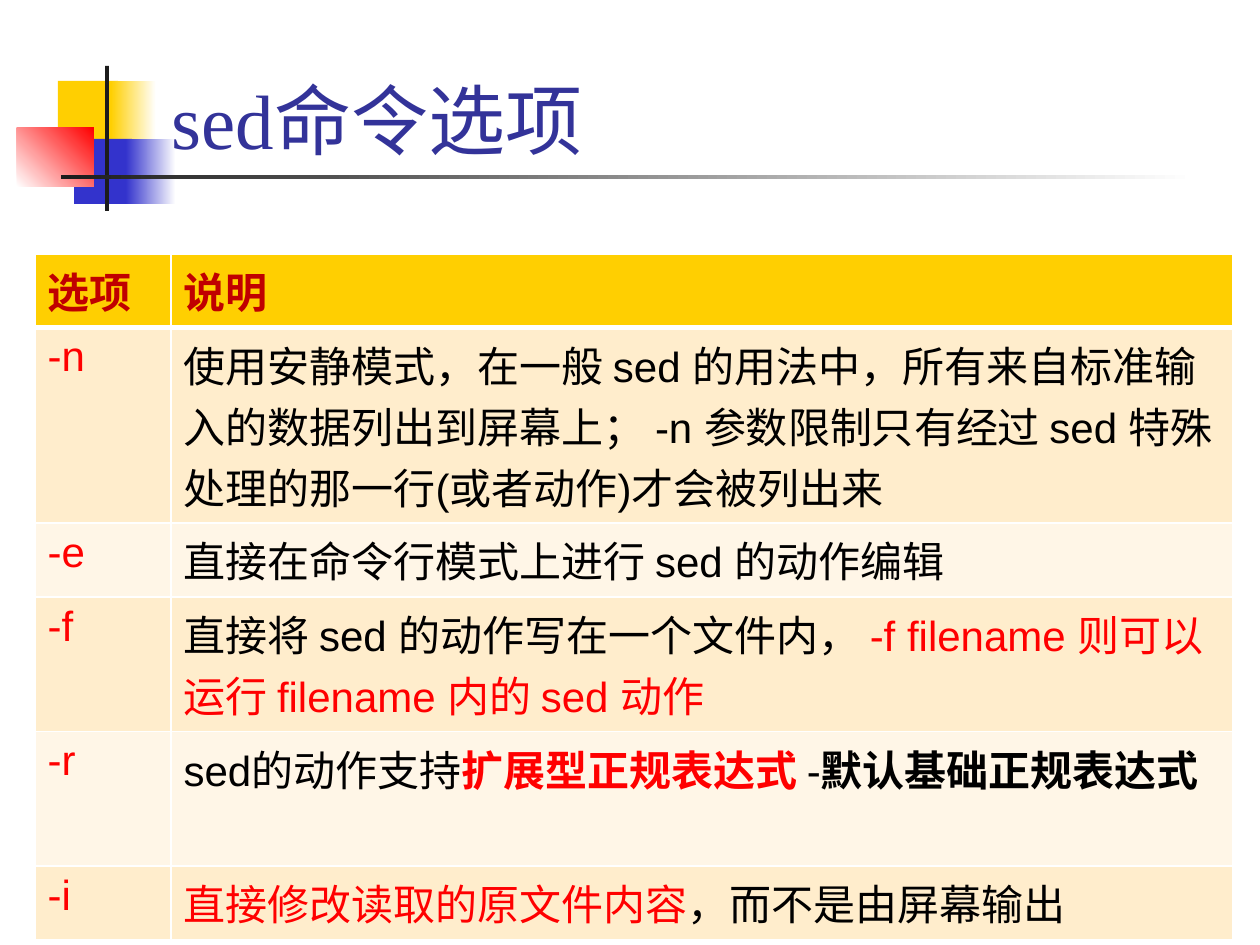
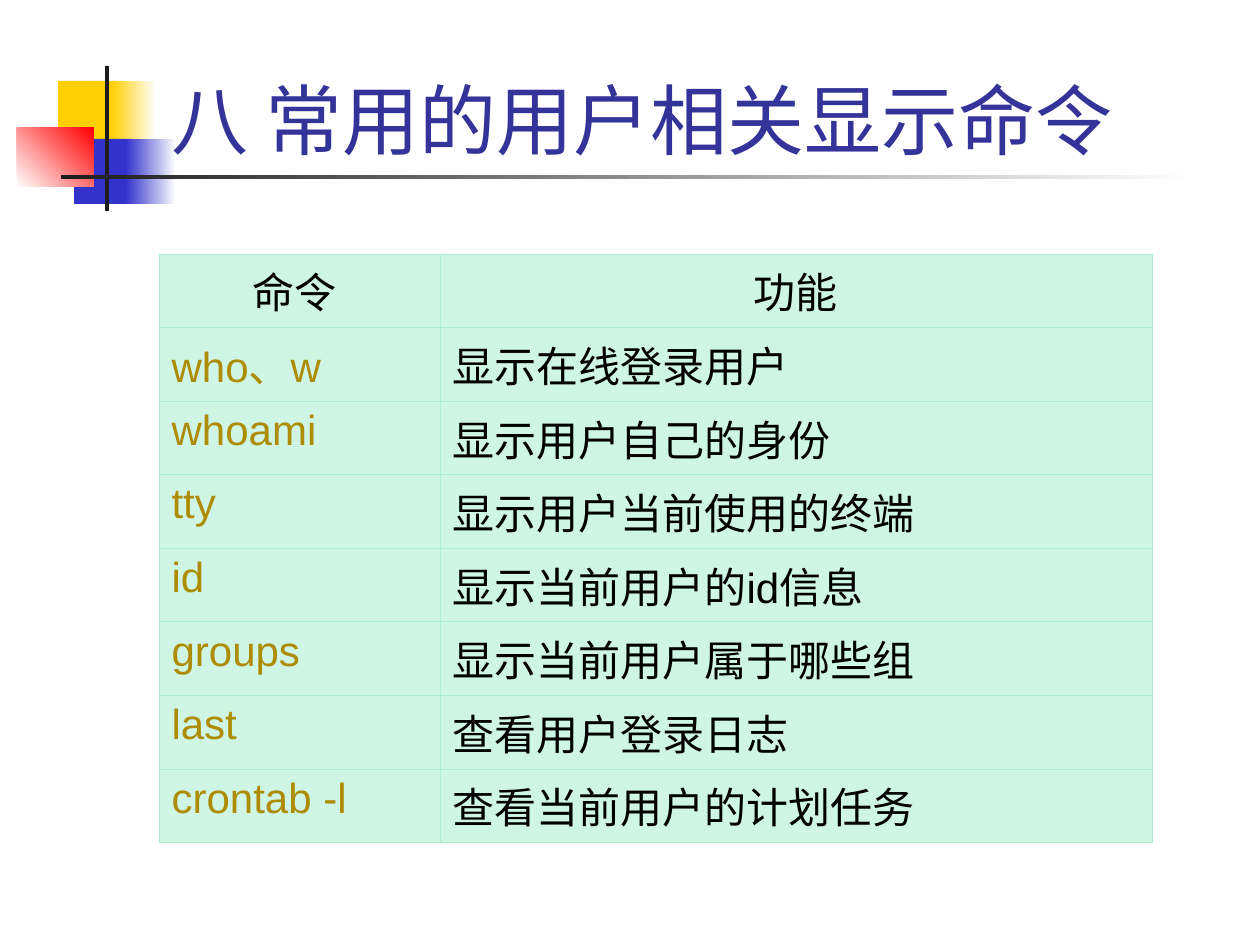
from lxml import etree
from pptx import Presentation
from pptx.dml.color import RGBColor
from pptx.enum.shapes import MSO_SHAPE
from pptx.enum.text import MSO_ANCHOR, MSO_AUTO_SIZE, PP_ALIGN
from pptx.oxml.ns import qn
from pptx.util import Pt

RECTANGLE = MSO_SHAPE.RECTANGLE
LEFT, CENTER = PP_ALIGN.LEFT, PP_ALIGN.CENTER
PX = 914400 / 126
COLORS = {
    "white": "FFFFFF", "black": "000000", "ink": "1C1C1C",
    "yellow": "FFCF01", "blue": "3333CC", "red": "FF0000",
    "title": "333399", "header": "C00000", "command": "AD8C01",
    "cream": "FFEDCC", "pale": "FFF6E7",
    "mint": "CFF5E4", "mint_line": "AAEFD1",
}
RGB = {name: RGBColor.from_string(value) for name, value in COLORS.items()}


def px(*lengths):
    return [round(length * PX) for length in lengths]


def fill_cell(cell, runs, fill, borders, alignment=LEFT):
    """Write (text, color, bold) runs; borders are (color, points) for left, right, top, bottom."""
    paragraph = cell.text_frame.paragraphs[0]
    paragraph.alignment = alignment
    paragraph.font.name = "Arial"
    paragraph.font.size = Pt(24)
    for text, color, bold in runs:
        run = paragraph.add_run()
        run.text = text
        run.font.color.rgb = RGB[color]
        run.font.bold = bold
    properties = cell._tc.get_or_add_tcPr()
    for side, (color, points) in zip(("lnL", "lnR", "lnT", "lnB"), borders):
        line = etree.SubElement(properties, qn(f"a:{side}"), w=str(Pt(points)))
        solid = etree.SubElement(line, qn("a:solidFill"))
        etree.SubElement(solid, qn("a:srgbClr"), val=COLORS[color])
    cell.fill.solid()
    cell.fill.fore_color.rgb = RGB[fill]


presentation = Presentation()
presentation.slide_width, presentation.slide_height = px(1260, 945)
layout = presentation.slide_layouts[5]

# Slides and titles
slides = []
for title_text in ("sed命令选项", "八 常用的用户相关显示命令"):
    slide = presentation.slides.add_slide(layout)
    slides.append(slide)
    title = slide.shapes.title
    title.left, title.top, title.width, title.height = px(159, 26, 1074, 145)
    frame = title.text_frame
    frame.text = title_text
    frame.word_wrap = True
    frame.auto_size = MSO_AUTO_SIZE.NONE
    frame.vertical_anchor = MSO_ANCHOR.BOTTOM
    paragraph = frame.paragraphs[0]
    paragraph.alignment = LEFT
    paragraph.font.name = "Times New Roman"
    paragraph.font.size = Pt(44)
    paragraph.font.color.rgb = RGB["title"]
option_slide, user_slide = slides

# Shared ornament, moved into the layout: box, start color, end color, angle
ornament = [
    ((58, 81, 60, 65), "yellow", None, 0),
    ((111, 81, 45, 65), "yellow", "white", 0),
    ((74, 139, 58, 65), "blue", None, 0),
    ((126, 139, 50, 65), "blue", "white", 0),
    ((17, 128, 77, 59), "white", "red", 45),
    ((105, 66, 4, 145), "ink", None, 0),
    ((61, 175, 1134, 4), "ink", "white", 0),
]
for position, (box, start, end, angle) in enumerate(ornament, 2):
    shape = option_slide.shapes.add_shape(RECTANGLE, *px(*box))
    shape.shadow.inherit = False
    shape.line.fill.background()
    if end:
        shape.fill.gradient()
        shape.fill.gradient_angle = angle
        for stop, color in zip(shape.fill.gradient_stops, (start, end)):
            stop.color.rgb = RGB[color]
    else:
        shape.fill.solid()
        shape.fill.fore_color.rgb = RGB[start]
    layout.shapes.element.insert(position, shape.element)

# Options of sed: row height, option, description runs
options = [
    (195, "-n", [("使用安静模式，在一般 sed 的用法中，所有来自标准输入的数据列出到屏幕上； "
                  "-n 参数限制只有经过 sed 特殊处理的那一行(或者动作)才会被列出来", "black", False)]),
    (74, "-e", [("直接在命令行模式上进行 sed 的动作编辑", "black", False)]),
    (134, "-f", [("直接将 sed 的动作写在一个文件内， ", "black", False),
                 ("-f filename 则可以运行 filename 内的 sed 动作", "red", False)]),
    (134, "-r", [("sed的动作支持", "black", False), ("扩展型正规表达式 ", "red", True),
                 ("-", "black", False), ("默认基础正规表达式", "black", True)]),
    (74, "-i", [("直接修改读取的原文件内容", "red", False),
                ("，而不是由屏幕输出", "black", False)]),
]
table = option_slide.shapes.add_table(len(options) + 1, 2, *px(35, 254, 1198, 684)).table
table.first_row = table.horz_banding = False
table.columns[0].width, table.columns[1].width = px(136, 1062)
table.rows[0].height = px(73)[0]
thin, thick = ("white", 1), ("white", 3)
for column, heading in enumerate(("选项", "说明")):
    fill_cell(table.cell(0, column), [(heading, "header", True)], "yellow",
              (thin, thin, thin, thick))
for row, (height, option, description) in enumerate(options, 1):
    table.rows[row].height = px(height)[0]
    fill = "cream" if row % 2 else "pale"
    borders = (thin, thin, thick if row == 1 else thin, thin)
    fill_cell(table.cell(row, 0), [(option, "red", False)], fill, borders)
    fill_cell(table.cell(row, 1), description, fill, borders)

# Commands that show users
user_commands = [
    ("命令 ", "功能"),
    ("who、w", "显示在线登录用户"),
    ("whoami", "显示用户自己的身份"),
    ("tty", "显示用户当前使用的终端"),
    ("id", "显示当前用户的id信息"),
    ("groups", "显示当前用户属于哪些组"),
    ("last", "查看用户登录日志"),
    ("crontab -l", "查看当前用户的计划任务"),
]
table = user_slide.shapes.add_table(len(user_commands), 2, *px(159, 254, 993, 588)).table
table.first_row = table.horz_banding = False
table.columns[0].width, table.columns[1].width = px(281, 712)
borders = [("mint_line", 0.5)] * 4
for row, (command, purpose) in enumerate(user_commands):
    alignment = LEFT if row else CENTER
    command_color = "command" if row else "black"
    fill_cell(table.cell(row, 0), [(command, command_color, False)], "mint", borders, alignment)
    fill_cell(table.cell(row, 1), [(purpose, "black", False)], "mint", borders, alignment)

presentation.save("out.pptx")
